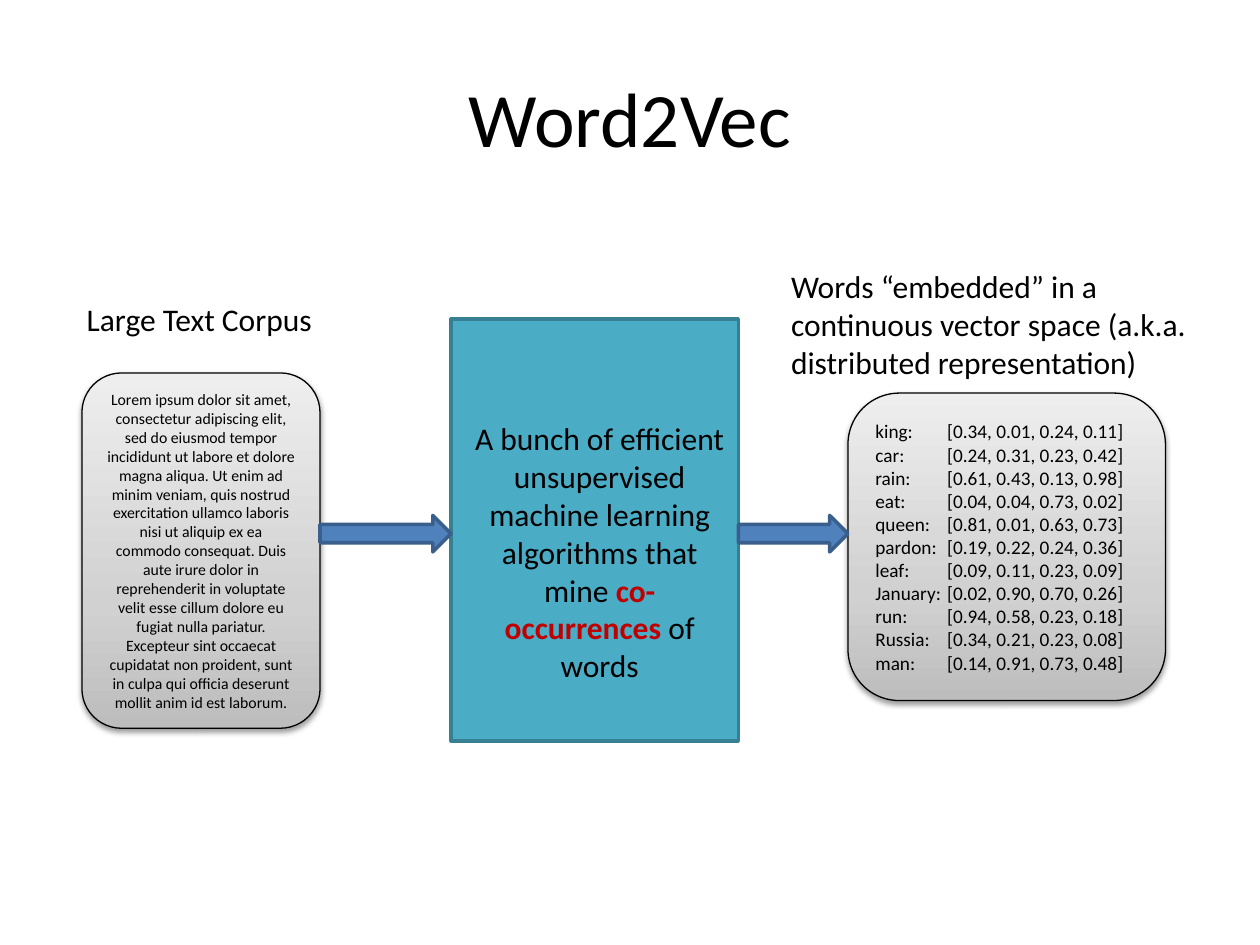
from dataclasses import dataclass
from typing import Any

import lxml.etree
import pptx
import pptx.dml.color
import pptx.enum.shapes
import pptx.enum.text
import pptx.oxml
import pptx.oxml.ns
import pptx.util

RGB = pptx.dml.color.RGBColor
SHAPE = pptx.enum.shapes.MSO_SHAPE
ALIGN = pptx.enum.text.PP_ALIGN
ANCHOR = pptx.enum.text.MSO_ANCHOR
qn = pptx.oxml.ns.qn

BLACK = RGB(0x00, 0x00, 0x00)
RED = RGB(0xC0, 0x00, 0x00)
TEAL = RGB(0x4B, 0xAC, 0xC6)
DARK_TEAL = RGB(0x37, 0x7F, 0x92)
BLUE = RGB(0x4F, 0x81, 0xBD)
DARK_BLUE = RGB(0x3A, 0x5F, 0x8C)
GREY_STOPS = [
    (0, RGB(0xBD, 0xBD, 0xBD)),
    (35, RGB(0xD1, 0xD1, 0xD1)),
    (100, RGB(0xEE, 0xEE, 0xEE)),
]

WIDTH, HEIGHT = pptx.util.Inches(10), pptx.util.Inches(7.5)
COLS, ROWS = 100, 75


@dataclass
class Box:
    col: float
    row: float
    cols: float
    rows: float

    @property
    def right(self) -> float:
        return self.col + self.cols

    def emu(self) -> list[int]:
        cell_w, cell_h = WIDTH / COLS, HEIGHT / ROWS
        return [round(self.col * cell_w), round(self.row * cell_h),
                round(self.cols * cell_w), round(self.rows * cell_h)]


@dataclass
class Label:
    box: Box
    runs: list[tuple[str, dict[str, Any]]]
    align: Any = ALIGN.LEFT


CORPUS = Box(6.5, 29.6, 18.9, 28.2)
ALGORITHM = Box(35.8, 25.3, 22.8, 33.5)
VECTORS = Box(67.3, 31.2, 25.2, 24.4)
ARROW_ROW, ARROW_ROWS = 40.9, 2.9

LABELS = [
    Label(Box(5.9, 23.3, 26.3, 4), [("Large Text Corpus", {})]),
    Label(Box(61.8, 20.7, 37, 10.1),
          [("Words “embedded” in a continuous vector space "
            "(a.k.a. distributed representation)", {})]),
    Label(Box(36.6, 32.8, 22, 22.2),
          [("A bunch of efficient unsupervised machine learning algorithms that mine ", {}),
           ("co-occurrences", {"bold": True, "color": RED}),
           (" of words", {})], ALIGN.CENTER),
]

LOREM = (
    "Lorem ipsum dolor sit amet, consectetur adipiscing elit, sed do eiusmod tempor "
    "incididunt ut labore et dolore magna aliqua. Ut enim ad minim veniam, quis nostrud "
    "exercitation ullamco laboris nisi ut aliquip ex ea commodo consequat. Duis aute irure "
    "dolor in reprehenderit in voluptate velit esse cillum dolore eu fugiat nulla pariatur. "
    "Excepteur sint occaecat cupidatat non proident, sunt in culpa qui officia deserunt "
    "mollit anim id est laborum."
)

EMBEDDINGS = {
    "king": (0.34, 0.01, 0.24, 0.11),
    "car": (0.24, 0.31, 0.23, 0.42),
    "rain": (0.61, 0.43, 0.13, 0.98),
    "eat": (0.04, 0.04, 0.73, 0.02),
    "queen": (0.81, 0.01, 0.63, 0.73),
    "pardon": (0.19, 0.22, 0.24, 0.36),
    "leaf": (0.09, 0.11, 0.23, 0.09),
    "January": (0.02, 0.90, 0.70, 0.26),
    "run": (0.94, 0.58, 0.23, 0.18),
    "Russia": (0.34, 0.21, 0.23, 0.08),
    "man": (0.14, 0.91, 0.73, 0.48),
}


def add_run(p: Any, text: str, size: float, color: RGB = BLACK, **extra: Any) -> None:
    r = p.add_run()
    r.text = text
    font = {"name": "Calibri", "size": pptx.util.Pt(size), **extra}
    for name, value in font.items():
        setattr(r.font, name, value)
    r.font.color.rgb = color


def add_label(s: Any, label: Label) -> None:
    tf = s.shapes.add_textbox(*label.box.emu()).text_frame
    tf.word_wrap = True
    p = tf.paragraphs[0]
    p.alignment = label.align
    for text, extra in label.runs:
        add_run(p, text, 18, **extra)


def add_block(s: Any, kind: Any, box: Box, line: RGB, width: float) -> Any:
    sp = s.shapes.add_shape(kind, *box.emu())
    sp.shadow.inherit = False
    sp.line.color.rgb = line
    sp.line.width = pptx.util.Pt(width)
    return sp


def add_solid(s: Any, kind: Any, box: Box, fill: RGB, line: RGB) -> None:
    sp = add_block(s, kind, box, line, 2)
    sp.fill.solid()
    sp.fill.fore_color.rgb = fill


def add_card(s: Any, box: Box, lines: list[str], size: float, align: Any) -> Any:
    sp = add_block(s, SHAPE.ROUNDED_RECTANGLE, box, BLACK, 0.75)
    sp.fill.gradient()
    sp.fill.gradient_angle = 90
    stops = next(sp._element.spPr.iter(qn("a:gsLst")))
    for gs in list(stops):
        stops.remove(gs)
    for pos, color in GREY_STOPS:
        gs = lxml.etree.SubElement(stops, qn("a:gs"), pos=str(pos * 1000))
        lxml.etree.SubElement(gs, qn("a:srgbClr"), val=str(color))
    effects = sp._element.spPr.find(qn("a:effectLst"))
    shadow = lxml.etree.SubElement(effects, qn("a:outerShdw"), blurRad="40000", dist="20000",
                                   dir="5400000", rotWithShape="0")
    color = lxml.etree.SubElement(shadow, qn("a:srgbClr"), val=str(BLACK))
    lxml.etree.SubElement(color, qn("a:alpha"), val="38000")
    tf = sp.text_frame
    tf.vertical_anchor = ANCHOR.MIDDLE
    for i, line in enumerate(lines):
        p = tf.add_paragraph() if i else tf.paragraphs[0]
        p.alignment = align
        add_run(p, line, size)
    return sp


def add_tab_stop(sp: Any, pos: int) -> None:
    for p in sp.text_frame.paragraphs:
        tabs = lxml.etree.SubElement(p._p.get_or_add_pPr(), qn("a:tabLst"))
        lxml.etree.SubElement(tabs, qn("a:tab"), pos=str(pos), algn="l")


def add_title(s: Any, text: str, box: Box) -> None:
    sp = s.shapes.title
    for name, value in zip(("left", "top", "width", "height"), box.emu()):
        setattr(sp, name, value)
    sp.text_frame.vertical_anchor = ANCHOR.MIDDLE
    p = sp.text_frame.paragraphs[0]
    p.alignment = ALIGN.CENTER
    add_run(p, text, 44)


def main() -> None:
    prs = pptx.Presentation()
    prs.slide_width, prs.slide_height = WIDTH, HEIGHT
    s = prs.slides.add_slide(prs.slide_layouts[5])
    add_title(s, "Word2Vec", Box(5, 3, 90, 12.5))
    add_solid(s, SHAPE.RECTANGLE, ALGORITHM, TEAL, DARK_TEAL)
    for label in LABELS:
        add_label(s, label)
    add_card(s, CORPUS, [LOREM], 9, ALIGN.CENTER)
    rows = [f"{word}:\t[{', '.join(f'{v:.2f}' for v in vector)}]"
            for word, vector in EMBEDDINGS.items()]
    add_tab_stop(add_card(s, VECTORS, rows, 11, ALIGN.LEFT), pptx.util.Inches(0.57))
    for start, end in ((CORPUS, ALGORITHM), (ALGORITHM, VECTORS)):
        gap = Box(start.right, ARROW_ROW, end.col - start.right, ARROW_ROWS)
        add_solid(s, SHAPE.RIGHT_ARROW, gap, BLUE, DARK_BLUE)
    prs.save("out.pptx")


if __name__ == "__main__":
    main()
